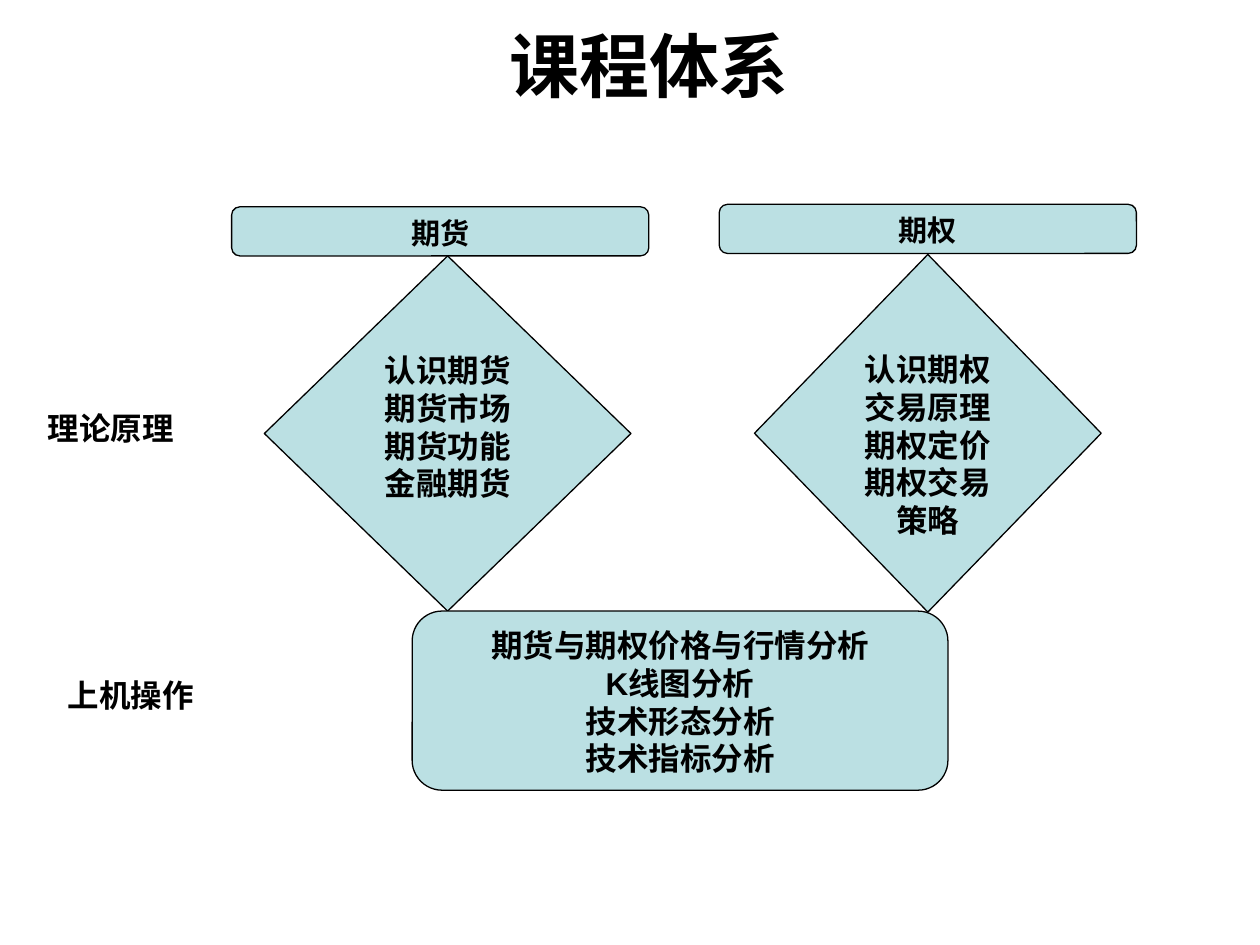
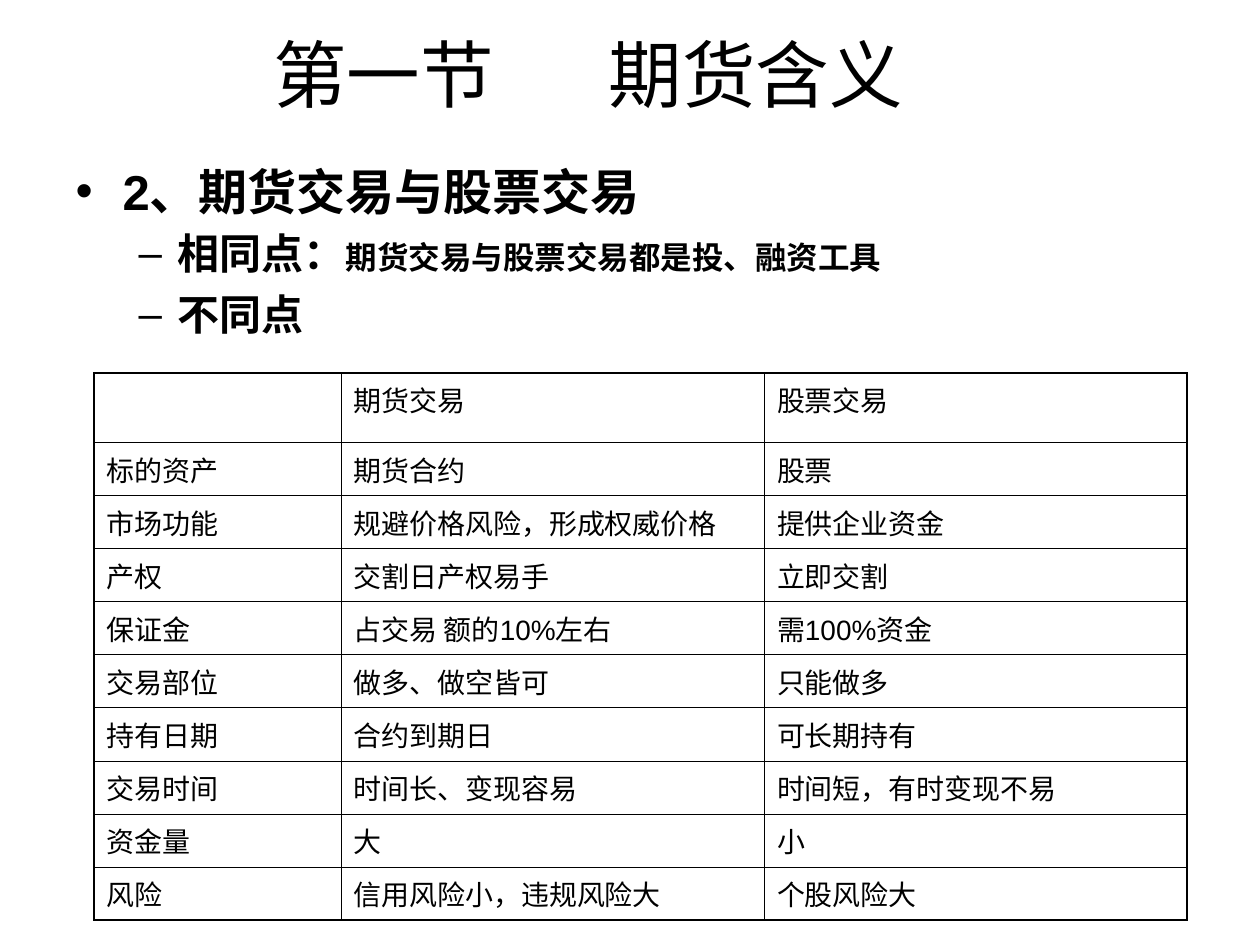
from lxml.etree import SubElement
from pptx import Presentation
from pptx.dml.color import RGBColor
from pptx.enum.lang import MSO_LANGUAGE_ID
from pptx.enum.shapes import MSO_SHAPE
from pptx.enum.text import MSO_ANCHOR, MSO_AUTO_SIZE, PP_ALIGN
from pptx.oxml.ns import qn
from pptx.util import Cm, Pt

INK, AQUA = "000000", "BBE0E3"
FONT = "Arial"
THICK, THIN = 1.08, 0.45
BAR, GEM = MSO_SHAPE.ROUNDED_RECTANGLE, MSO_SHAPE.FLOWCHART_DECISION


def color(code):
    return RGBColor.from_string(code)


def write(frame, *lines, size=18, bold=False, align=PP_ALIGN.LEFT,
          anchor=MSO_ANCHOR.TOP, wrap=True):
    frame.auto_size = MSO_AUTO_SIZE.NONE
    frame.word_wrap = wrap
    frame.vertical_anchor = anchor
    for i, line in enumerate(lines):
        para = frame.add_paragraph() if i else frame.paragraphs[0]
        para.alignment = align
        para.space_before = Pt(0)
        for text, points in [(line, size)] if isinstance(line, str) else line:
            run = para.add_run()
            run.text = text
            font = run.font
            font.name, font.size, font.bold = FONT, Pt(points), bold
            font.color.rgb = color(INK)
            font.language_id = MSO_LANGUAGE_ID.SIMPLIFIED_CHINESE
    return frame


def place(shape, box):
    shape.left, shape.top, shape.width, shape.height = map(Cm, box)


def edge(cell, side, width):
    line = SubElement(cell._tc.get_or_add_tcPr(), qn(f"a:ln{side}"), w=str(Pt(width)))
    fill = SubElement(line, qn("a:solidFill"))
    SubElement(fill, qn("a:srgbClr"), val=INK)


class Deck:
    """Holds the shared style and the slide being filled."""

    def __init__(self):
        self.prs = Presentation()
        self.prs.slide_width, self.prs.slide_height = Cm(25.4), Cm(19.05)

    def start(self, layout):
        self.slide = self.prs.slides.add_slide(self.prs.slide_layouts[layout])

    def title(self, box, text, **style):
        shape = self.slide.shapes.title
        place(shape, box)
        return write(shape.text_frame, text, anchor=MSO_ANCHOR.MIDDLE, **style)

    def block(self, kind, box, *lines, size=18):
        shape = self.slide.shapes.add_shape(kind, *map(Cm, box))
        shape.shadow.inherit = False
        shape.fill.solid()
        shape.fill.fore_color.rgb = color(AQUA)
        shape.line.color.rgb = color(INK)
        shape.line.width = Pt(0.75)
        write(shape.text_frame, *lines, size=size, bold=True, align=PP_ALIGN.CENTER)

    def label(self, box, text):
        shape = self.slide.shapes.add_textbox(*map(Cm, box))
        write(shape.text_frame, text, bold=True, wrap=False)

    def list(self, box, *items):
        shape = self.slide.placeholders[1]
        place(shape, box)
        frame = write(shape.text_frame, *(line for line, _, _ in items), bold=True)
        for para, (_, level, gap) in zip(frame.paragraphs, items):
            left, hang = [(0.95, 0.95), (2.06, 0.79)][level]
            para.level = level
            para.space_before = Pt(gap)
            props = para._p.get_or_add_pPr()
            props.set("marL", str(Cm(left)))
            props.set("indent", str(-Cm(hang)))

    def table(self, box, widths, head, row, data):
        last, end = len(data) - 1, len(widths) - 1
        grid = self.slide.shapes.add_table(last + 1, end + 1, *map(Cm, box)).table
        grid.first_row = grid.horz_banding = False
        for col, width in zip(grid.columns, widths):
            col.width = Cm(width)
        for r, texts in enumerate(data):
            grid.rows[r].height = Cm(row if r else head)
            for c, text in enumerate(texts):
                cell = grid.cell(r, c)
                outer = {"L": c == 0, "R": c == end, "T": r == 0, "B": r == last}
                for side, rim in outer.items():
                    edge(cell, side, THICK if rim else THIN)
                cell.fill.background()
                if text:
                    write(cell.text_frame, text, size=16)


def main():
    deck = Deck()

    deck.start(5)
    deck.title((10.01, 0.33, 6.15, 1.96), "课程体系", size=40, bold=True,
               align=PP_ALIGN.CENTER, wrap=False)
    deck.block(BAR, (4.67, 4.17, 8.41, 0.99), "期货", size=16.6)
    deck.block(GEM, (5.33, 5.16, 7.39, 7.16),
               "认识期货", "期货市场", "期货功能", "金融期货")
    deck.block(BAR, (14.5, 4.12, 8.41, 0.99), "期权", size=16.6)
    deck.block(GEM, (15.21, 5.13, 6.99, 7.21),
               "认识期权", "交易原理", "期权定价", "期权交易策略")
    deck.label((0.71, 8.13, 3.05, 1.02), "理论原理")
    deck.label((1.12, 13.51, 3.05, 1.02), "上机操作")
    deck.block(BAR, (8.31, 12.32, 10.8, 3.61), "期货与期权价格与行情分析",
               "K线图分析", "技术形态分析", "技术指标分析")

    deck.start(1)
    frame = deck.title((3.71, -0.18, 16.33, 3.3), "第一节\t期货含义", size=42)
    frame.margin_left = Cm(1.8)
    tabs = SubElement(frame.paragraphs[0]._p.get_or_add_pPr(), qn("a:tabLst"))
    SubElement(tabs, qn("a:tab"), pos=str(Cm(6.76)), algn="l")
    deck.list((1.27, 3.12, 23.04, 13.89),
              ([("2、期货交易与股票交易", 28)], 0, 0),
              ([("相同点：", 24), ("期货交易与股票交易都是投、融资工具", 18)], 1, 4.5),
              ([("不同点", 24)], 1, 6))
    deck.table((1.9, 7.52, 22.03, 11.03), (4.98, 8.53, 8.52), 1.4, 1.07, [
        ("", "期货交易", "股票交易"),
        ("标的资产", "期货合约", "股票"),
        ("市场功能", "规避价格风险，形成权威价格", "提供企业资金"),
        ("产权", "交割日产权易手", "立即交割"),
        ("保证金", "占交易 额的10%左右", "需100%资金"),
        ("交易部位", "做多、做空皆可", "只能做多"),
        ("持有日期", "合约到期日", "可长期持有"),
        ("交易时间", "时间长、变现容易", "时间短，有时变现不易"),
        ("资金量", "大", "小"),
        ("风险", "信用风险小，违规风险大", "个股风险大"),
    ])

    deck.prs.save("out.pptx")


if __name__ == "__main__":
    main()
